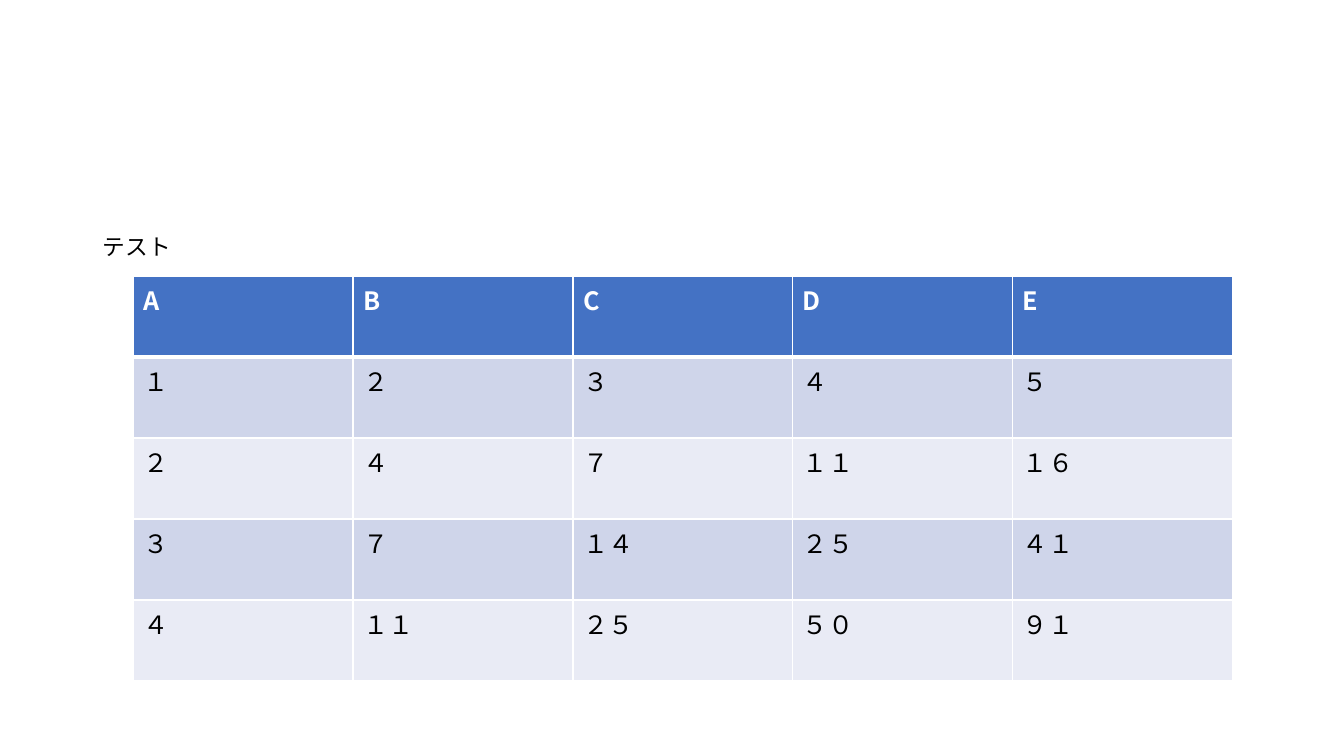
"""Build a slide with a short label above a five-column table of numbers."""
from pptx import Presentation
from pptx.dml.color import RGBColor
from pptx.oxml.ns import qn
from pptx.util import Emu, Pt
from lxml import etree

LABEL = "テスト"
HEADER = ["A", "B", "C", "D", "E"]
NUMBERS = [
    ["１", "２", "３", "４", "５"],
    ["２", "４", "７", "１１", "１６"],
    ["３", "７", "１４", "２５", "４１"],
    ["４", "１１", "２５", "５０", "９１"],
]

FONT = "Noto Sans CJK JP"
BLACK = RGBColor(0x00, 0x00, 0x00)
WHITE = RGBColor(0xFF, 0xFF, 0xFF)
BLUE = RGBColor(0x44, 0x72, 0xC4)
BANDS = [RGBColor(0xCF, 0xD5, 0xEA), RGBColor(0xE9, 0xEB, 0xF5)]

PIXEL = 914400 / 100.8
SLIDE_SIZE = (1344, 756)
LABEL_BOX = (93, 202, 1159, 480)
TABLE_LEFT, TABLE_TOP = 133, 276
COLUMN_WIDTH, ROW_HEIGHT = 220, 81
THIN, THICK = 1, 3


def px(length):
    """Turn pixels into EMU."""
    return Emu(round(length * PIXEL))


def add_span(para, text, size, color, bold=False):
    """Add one styled run to a paragraph."""
    span = para.add_run()
    span.text = text
    span.font.size = Pt(size)
    span.font.bold = bold
    span.font.color.rgb = color
    span.font.name = FONT
    etree.SubElement(span.font._element, qn("a:ea"), typeface=FONT)
    return span


def add_borders(cell, top, bottom):
    """Draw white lines on the four sides of a cell."""
    properties = cell._tc.get_or_add_tcPr()
    for side, width in (("L", THIN), ("R", THIN), ("T", top), ("B", bottom)):
        line = etree.SubElement(properties, qn("a:ln" + side), w=str(Pt(width)))
        fill = etree.SubElement(line, qn("a:solidFill"))
        etree.SubElement(fill, qn("a:srgbClr"), val=str(WHITE))


deck = Presentation()
deck.slide_width, deck.slide_height = map(px, SLIDE_SIZE)
page = deck.slides.add_slide(deck.slide_layouts[6])

box = page.shapes.add_textbox(*map(px, LABEL_BOX))
box.text_frame.word_wrap = True
para = box.text_frame.paragraphs[0]
para.line_spacing = 0.9
para.space_before = Pt(10)
label = add_span(para, LABEL, 28, BLACK)
label.font._element.set("baseline", "-25000")

rows = [HEADER] + NUMBERS
frame = page.shapes.add_table(
    len(rows), len(HEADER), px(TABLE_LEFT), px(TABLE_TOP),
    px(COLUMN_WIDTH * len(HEADER)), px(ROW_HEIGHT * len(rows)))
table = frame.table
for column in table.columns:
    column.width = px(COLUMN_WIDTH)

for row_index, values in enumerate(rows):
    table.rows[row_index].height = px(ROW_HEIGHT)
    is_header = row_index == 0
    top = THICK if row_index == 1 else THIN
    bottom = THICK if is_header else THIN
    for column_index, value in enumerate(values):
        cell = table.cell(row_index, column_index)
        add_borders(cell, top, bottom)
        cell.fill.solid()
        cell.fill.fore_color.rgb = BLUE if is_header else BANDS[(row_index - 1) % 2]
        add_span(cell.text_frame.paragraphs[0], value, 18,
                 WHITE if is_header else BLACK, is_header)

deck.save("out.pptx")
